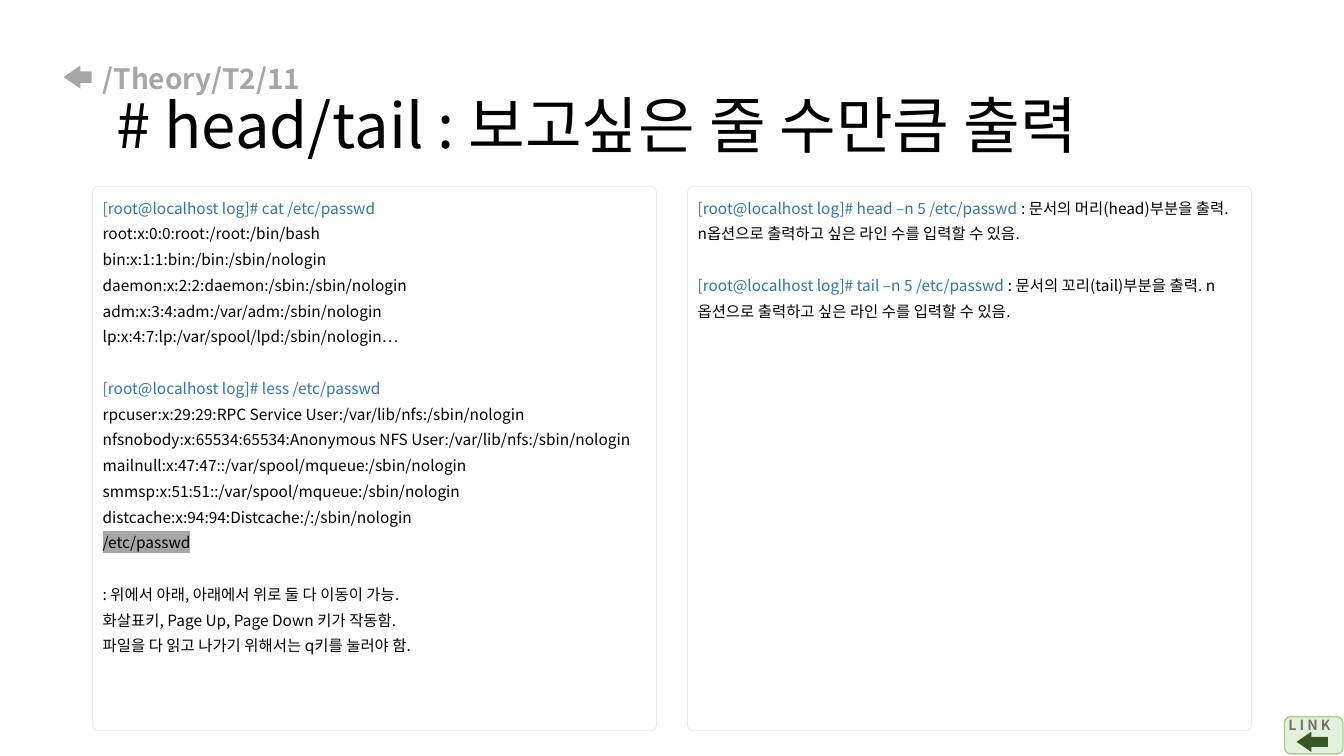
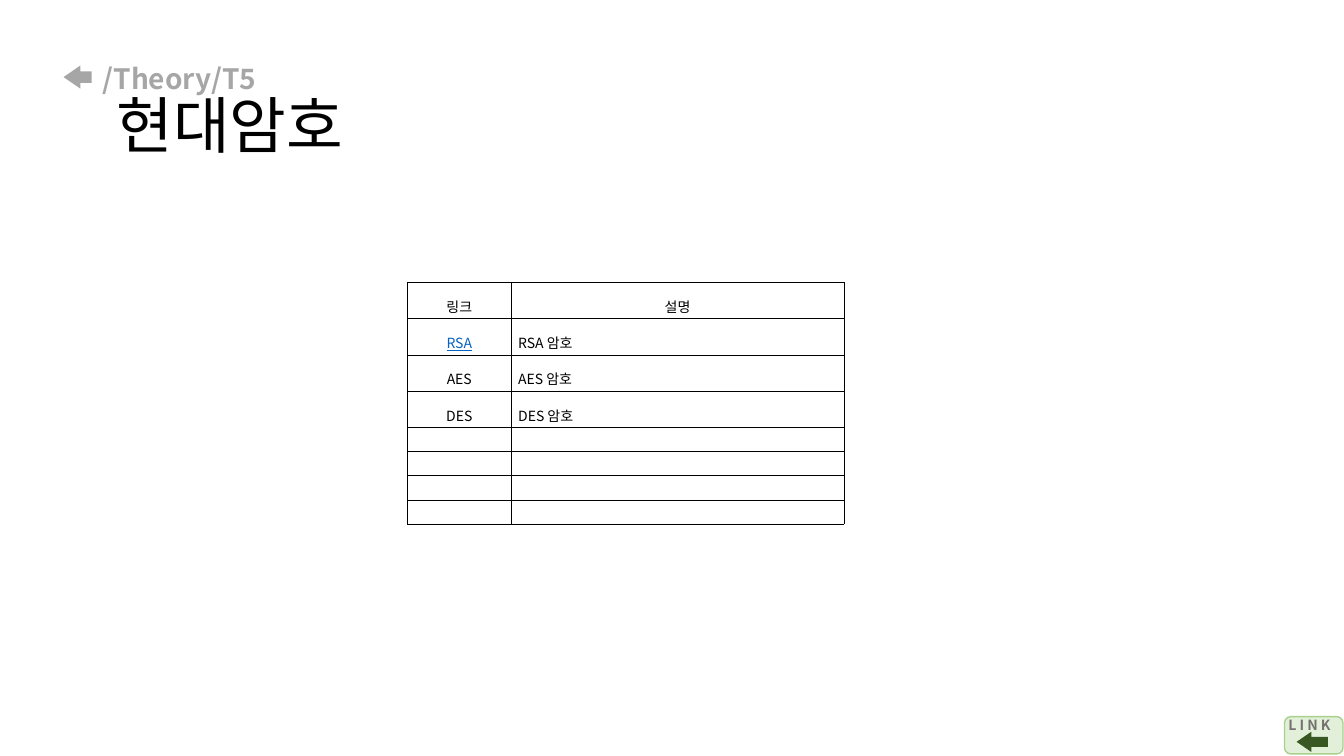
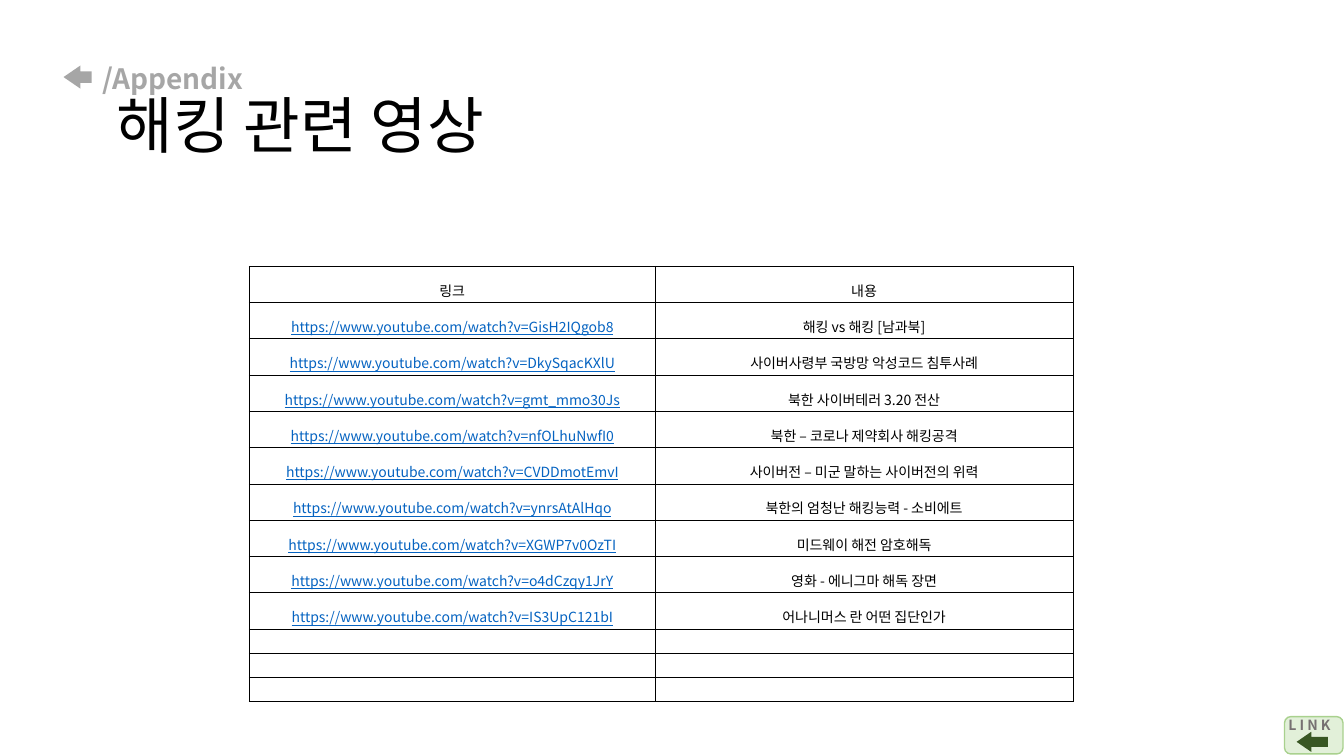
from pptx import Presentation, util as u
from pptx.dml.color import RGBColor
from pptx.enum import shapes, text
from pptx.oxml import ns
from lxml import etree

# Shared style
FONT = "Noto Sans CJK KR"
BLACK, GREY, COMMAND, LINK = "000000", "A6A6A6", "2E75B6", "0563C1"
WIDTH, HEIGHT = 13.33, 7.5
MARGIN, PANE_W, PANE_TOP, PANE_H = 0.92, 5.59, 1.85, 5.4
CONTENT_W = WIDTH - 2 * MARGIN
LINE_PITCH = 18.4
TEXT_ROW, EMPTY_ROW = 0.36, 0.24
PROMPT = "[root@localhost log]# "
VIDEO = "https://www.youtube.com/watch?v="

# Content: each pane is a list of blocks, each block a list of lines,
# each line a list of (text, format) runs
def command(line):
    return PROMPT + line, dict(color=COMMAND)


def plain(*lines):
    return [[(line, {})] for line in lines]


PANES = [
    [
        [[command("cat /etc/passwd")]] + plain(
            "root:x:0:0:root:/root:/bin/bash",
            "bin:x:1:1:bin:/bin:/sbin/nologin",
            "daemon:x:2:2:daemon:/sbin:/sbin/nologin",
            "adm:x:3:4:adm:/var/adm:/sbin/nologin",
            "lp:x:4:7:lp:/var/spool/lpd:/sbin/nologin…"),
        [[command("less /etc/passwd")]] + plain(
            "rpcuser:x:29:29:RPC Service User:/var/lib/nfs:/sbin/nologin",
            "nfsnobody:x:65534:65534:Anonymous NFS User:/var/lib/nfs:/sbin/nologin",
            "mailnull:x:47:47::/var/spool/mqueue:/sbin/nologin",
            "smmsp:x:51:51::/var/spool/mqueue:/sbin/nologin",
            "distcache:x:94:94:Distcache:/:/sbin/nologin")
        + [[("/etc/passwd", dict(highlight=GREY))]],
        plain(
            ": 위에서 아래, 아래에서 위로 둘 다 이동이 가능.",
            "화살표키, Page Up, Page Down 키가 작동함.",
            "파일을 다 읽고 나가기 위해서는 q키를 눌러야 함."),
    ],
    [
        [[command(f"{name} –n 5 /etc/passwd "),
          (f": 문서의 {part}({name})부분을 출력. n옵션으로 출력하고 싶은 라인 수를 입력할 수 있음.", {})]]
        for name, part in [("head", "머리"), ("tail", "꼬리")]
    ],
]

CIPHERS = [("링크", "설명"), ("RSA", "RSA 암호"), ("AES", "AES 암호"), ("DES", "DES 암호")]
VIDEOS = [("링크", "내용")] + [(VIDEO + key, title) for key, title in [
    ("GisH2IQgob8", "해킹 vs 해킹 [남과북]"),
    ("DkySqacKXlU", "사이버사령부 국방망 악성코드 침투사례"),
    ("gmt_mmo30Js", "북한 사이버테러 3.20 전산"),
    ("nfOLhuNwfI0", "북한 – 코로나 제약회사 해킹공격"),
    ("CVDDmotEmvI", "사이버전 – 미군 말하는 사이버전의 위력"),
    ("ynrsAtAlHqo", "북한의 엄청난 해킹능력 - 소비에트"),
    ("XGWP7v0OzTI", "미드웨이 해전 암호해독"),
    ("o4dCzqy1JrY", "영화 - 에니그마 해독 장면"),
    ("IS3UpC121bI", "어나니머스 란 어떤 집단인가"),
]]


# Helpers
def rgb(value):
    return RGBColor.from_string(value)


def sub(parent, tag, **attrs):
    return etree.SubElement(parent, ns.qn(tag), attrs)


def add_run(p, content, size=11, color=BLACK, bold=False, underline=False, highlight=None):
    r = p.add_run()
    r.text = content
    r.font.size, r.font.bold = u.Pt(size), bold
    if underline:
        r.font.underline = True
    r.font.color.rgb = rgb(color)
    props = r.font._element
    if highlight:
        sub(sub(props, "a:highlight"), "a:srgbClr", val=highlight)
    for tag in ("a:latin", "a:ea"):
        sub(props, tag, typeface=FONT)


def add_box(s, left, top, width, height):
    tf = s.shapes.add_textbox(*map(u.Inches, (left, top, width, height))).text_frame
    tf.word_wrap = True
    return tf


def add_shape(s, kind, box, fill=None, line=None, line_width=1, adjust=()):
    sp = s.shapes.add_shape(kind, *map(u.Inches, box))
    sp.shadow.inherit = False
    for i, value in enumerate(adjust):
        sp.adjustments[i] = value
    if fill:
        sp.fill.solid()
        sp.fill.fore_color.rgb = rgb(fill)
    else:
        sp.fill.background()
    if line:
        sp.line.color.rgb = rgb(line)
        sp.line.width = u.Pt(line_width)
    else:
        sp.line.fill.background()


def add_arrow(s, box, fill):
    add_shape(s, shapes.MSO_SHAPE.LEFT_ARROW, box, fill, adjust=(0.5, 0.73))


def new_slide(prs, trail, title):
    s = prs.slides.add_slide(prs.slide_layouts[6])
    # Trail and title
    tf = add_box(s, MARGIN, 0.4, CONTENT_W, 1.45)
    tf.vertical_anchor = text.MSO_ANCHOR.MIDDLE
    p = tf.paragraphs[0]
    p.line_spacing = 0.9
    add_run(p, trail, size=20, color=GREY, bold=True)
    p.add_line_break()
    add_run(p, " " + title, size=44)
    add_arrow(s, (0.63, 0.65, 0.28, 0.23), GREY)
    # Link button
    add_shape(s, shapes.MSO_SHAPE.ROUNDED_RECTANGLE, (12.74, 7.11, 0.58, 0.37), "E2F0D9", "A9D18E")
    add_run(add_box(s, 12.68, 7.06, 0.74, 0.44).paragraphs[0], "L I N K",
            size=10, color="767171", bold=True)
    add_arrow(s, (12.86, 7.26, 0.31, 0.2), "385723")
    return s


def add_pane(s, left, blocks):
    box = (left, PANE_TOP, PANE_W, PANE_H)
    add_shape(s, shapes.MSO_SHAPE.ROUNDED_RECTANGLE, box, line="D9D9D9", line_width=0.25, adjust=(0.01,))
    tf = add_box(s, *box)
    tf.margin_right = u.Inches(0.16)
    p = None
    for block in blocks:
        for i, line in enumerate(block):
            first = p is None
            p = tf.paragraphs[0] if first else tf.add_paragraph()
            p.line_spacing = u.Pt(LINE_PITCH)
            if i == 0 and not first:
                p.space_before = u.Pt(LINE_PITCH)
            for content, style in line:
                add_run(p, content, **style)


def format_cell(cell, content, centred, linked):
    cell.margin_left = cell.margin_right = u.Inches(0.07)
    cell.margin_top = cell.margin_bottom = u.Inches(0.02)
    cell.vertical_anchor = text.MSO_ANCHOR.MIDDLE
    props = cell._tc.get_or_add_tcPr()
    for side in ("a:lnL", "a:lnR", "a:lnT", "a:lnB"):
        ln = sub(props, side, w=str(u.Pt(0.28)))
        sub(sub(ln, "a:solidFill"), "a:srgbClr", val=BLACK)
    cell.fill.background()
    p = cell.text_frame.paragraphs[0]
    if not content:
        sub(p._p, "a:endParaRPr", sz="1000")
        return
    p.line_spacing = 1.6
    if centred:
        p.alignment = text.PP_ALIGN.CENTER
    add_run(p, content, size=10, color=LINK if linked else BLACK, underline=linked)


def add_grid(s, left, top, widths, rows, empty, centred_text, is_link):
    heights = [TEXT_ROW] * len(rows) + [EMPTY_ROW] * empty
    table = s.shapes.add_table(len(heights), len(widths), *map(
        u.Inches, (left, top, sum(widths), sum(heights)))).table
    table.first_row = table.horz_banding = False
    for column, width in zip(table.columns, widths):
        column.width = u.Inches(width)
    for row, height in zip(table.rows, heights):
        row.height = u.Inches(height)
    for i, values in enumerate(rows + [("", "")] * empty):
        for j, value in enumerate(values):
            format_cell(table.cell(i, j), value, i == 0 or j == 0 or centred_text, is_link(value))


def main():
    prs = Presentation()
    prs.slide_width, prs.slide_height = u.Inches(WIDTH), u.Inches(HEIGHT)

    # head and tail
    s = new_slide(prs, "/Theory/T2/11", "# head/tail : 보고싶은 줄 수만큼 출력")
    for i, blocks in enumerate(PANES):
        add_pane(s, MARGIN + i * (CONTENT_W - PANE_W), blocks)

    # Modern ciphers
    s = new_slide(prs, "/Theory/T5", "현대암호")
    add_grid(s, 4.04, 2.8, (1.03, 3.3), CIPHERS, 4, False, lambda value: value == "RSA")

    # Videos
    s = new_slide(prs, "/Appendix", "해킹 관련 영상")
    add_grid(s, 2.47, 2.64, (4.03, 4.14), VIDEOS, 3, True, lambda value: value.startswith(VIDEO))

    prs.save("out.pptx")


if __name__ == "__main__":
    main()
